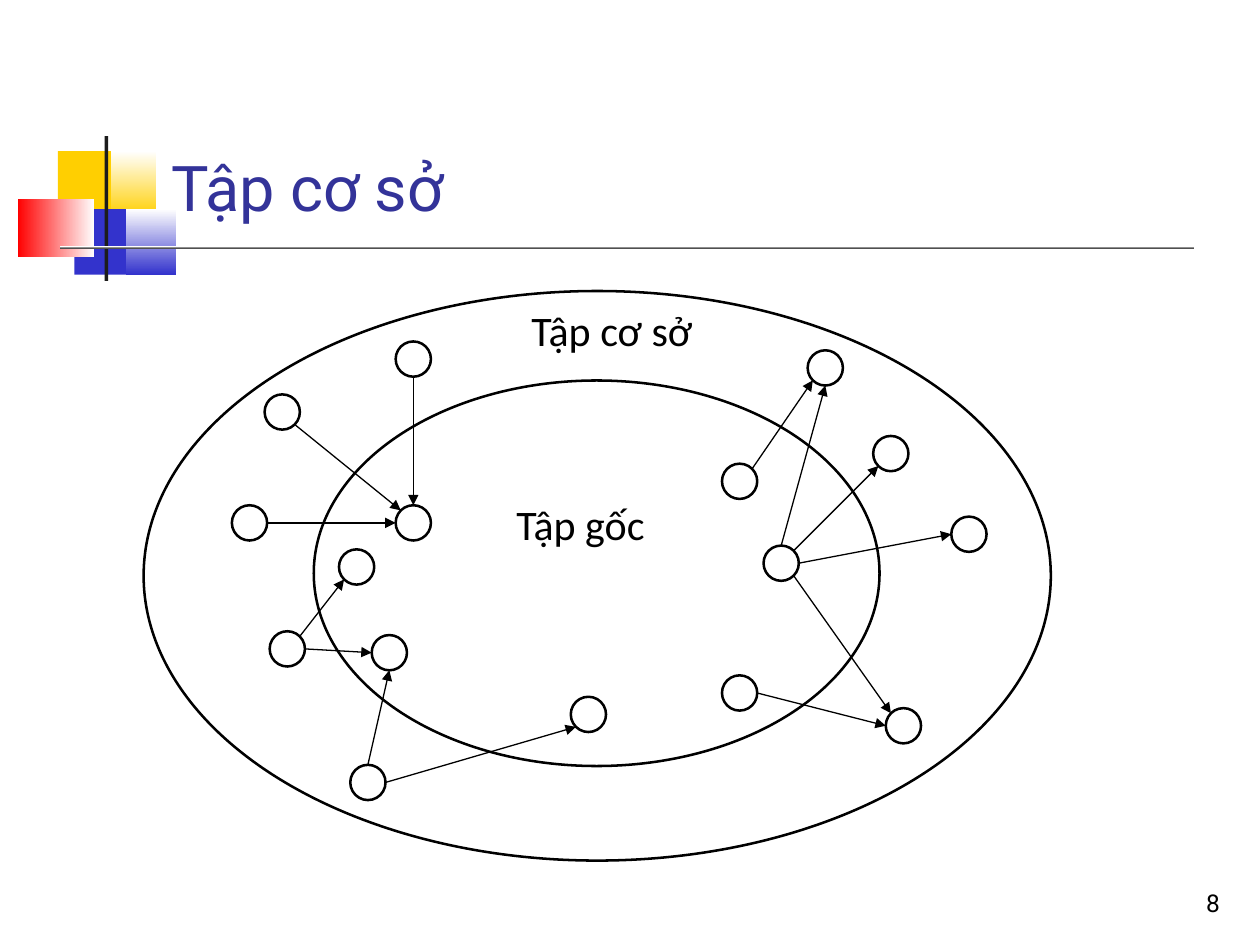
import pptx
import pptx.util
import pptx.dml.color
import pptx.enum.shapes
import pptx.enum.text
import pptx.oxml
import pptx.oxml.ns

KIND = pptx.enum.shapes.MSO_SHAPE
ANCHOR = pptx.enum.text.MSO_ANCHOR
ALIGN = pptx.enum.text.PP_ALIGN

COLS, ROWS, CELL = 100, 75, 0.1
DOT = 2.8

THEME = {
    "gold": "FFCF01", "blue": "3333CC", "red": "FF0000", "white": "FFFFFF",
    "dark": "1C1C1C", "ink": "000000", "title": "333399",
    "head": 36, "label": 24, "page": 14,
    "ring": 1.45, "link": 0.75,
    "main": "Roboto", "body": "Calibri",
}

BLOCKS = [
    ((4.6, 12, 4.8, 5.2), "gold", None, 0),
    ((8.8, 12, 3.6, 5.2), "gold", "white", 90),
    ((5.9, 16.6, 4.6, 5.2), "blue", None, 0),
    ((10, 16.6, 4, 5.2), "blue", "white", 90),
    ((1.4, 15.8, 6.1, 4.6), "white", "red", 180),
    ((8.3, 10.8, 0.3, 11.5), "dark", None, 0),
    ((4.8, 19.5, 90, 0.3), "dark", "white", 90),
]

RINGS = [(24.9, 30.2, 44.9, 30.6), (11.4, 23.1, 72, 45.2)]

DOTS = {
    "a": (31.4, 27.1), "b": (21, 31.3), "c": (18.4, 40.1), "d": (31.4, 40.1),
    "e": (21.4, 50.1), "f": (26.9, 43.6), "g": (29.5, 50.4), "h": (27.8, 60.7),
    "i": (45.3, 55.3), "j": (57.3, 36.8), "k": (64.1, 27.8), "l": (69.3, 34.6),
    "m": (60.6, 43.3), "n": (75.5, 41), "o": (57.3, 53.6), "p": (70.3, 56.2),
}

LINKS = [
    ("b", "SE", "d", "NW"), ("c", "E", "d", "W"), ("a", "S", "d", "N"),
    ("e", "NE", "f", "SW"), ("e", "E", "g", "W"), ("h", "N", "g", "S"),
    ("h", "E", "i", "SW"), ("j", "NE", "k", "SW"), ("m", "N", "k", "S"),
    ("m", "NE", "l", "SW"), ("m", "E", "n", "W"), ("m", "SE", "p", "NW"),
    ("o", "E", "p", "W"),
]

TEXTS = [
    ("8", (77, 68.3, 20.8, 5), "page", "main", "ink", ANCHOR.BOTTOM, ALIGN.RIGHT),
    ("Tập cơ sở", (12.6, 2.3, 85.2, 16), "head", "main", "title", ANCHOR.BOTTOM, ALIGN.LEFT),
    ("Tập gốc", (40, 39.1, 13.1, 5), "label", "body", "ink", ANCHOR.TOP, ALIGN.LEFT),
    ("Tập cơ sở", (41.2, 23.7, 15, 5), "label", "body", "ink", ANCHOR.TOP, ALIGN.LEFT),
]


def grid(*cells):
    return [pptx.util.Inches(cell * CELL) for cell in cells]


def tint(name):
    return pptx.dml.color.RGBColor.from_string(THEME[name])


def style(item, **vals):
    for key, val in vals.items():
        setattr(item, key, val)


def block(slide, box, first, last, angle):
    shape = slide.shapes.add_shape(KIND.RECTANGLE, *grid(*box))
    shape.shadow.inherit = False
    shape.line.fill.background()
    if last is None:
        shape.fill.solid()
        shape.fill.fore_color.rgb = tint(first)
        return
    shape.fill.gradient()
    shape.fill.gradient_angle = angle
    for stop, name in zip(shape.fill.gradient_stops, (first, last)):
        stop.color.rgb = tint(name)


def ring(slide, box):
    shape = slide.shapes.add_shape(KIND.OVAL, *grid(*box))
    shape.shadow.inherit = False
    shape.fill.background()
    shape.line.color.rgb = tint("ink")
    shape.line.width = pptx.util.Pt(THEME["ring"])


def site(name, side):
    left, top = DOTS[name]
    reach = DOT / 2 / len(side) ** 0.5
    across = ("E" in side) - ("W" in side)
    down = ("S" in side) - ("N" in side)
    return left + DOT / 2 + reach * across, top + DOT / 2 + reach * down


def link(slide, start, out, end, into):
    ends = grid(*site(start, out), *site(end, into))
    line = slide.shapes.add_connector(pptx.enum.shapes.MSO_CONNECTOR.STRAIGHT, *ends)
    line.line.color.rgb = tint("ink")
    line.line.width = pptx.util.Pt(THEME["link"])
    tail = pptx.oxml.parse_xml(
        f'<a:tailEnd {pptx.oxml.ns.nsdecls("a")} type="triangle"/>')
    line.line._get_or_add_ln().append(tail)
    props = line._element.spPr
    props.append(pptx.oxml.parse_xml(f'<a:effectLst {pptx.oxml.ns.nsdecls("a")}/>'))


def text(slide, words, box, size, font, color, anchor, align):
    frame = slide.shapes.add_textbox(*grid(*box)).text_frame
    style(frame, word_wrap=True, vertical_anchor=anchor, text=words)
    para = frame.paragraphs[0]
    para.alignment = align
    style(para.font, name=THEME[font], size=pptx.util.Pt(THEME[size]))
    para.font.color.rgb = tint(color)


def main():
    deck = pptx.Presentation()
    wide, high = grid(COLS, ROWS)
    style(deck, slide_width=wide, slide_height=high)
    slide = deck.slides.add_slide(deck.slide_layouts[6])
    for item in BLOCKS:
        block(slide, *item)
    for box in RINGS + [(*spot, DOT, DOT) for spot in DOTS.values()]:
        ring(slide, box)
    for item in LINKS:
        link(slide, *item)
    for item in TEXTS:
        text(slide, *item)
    deck.save("out.pptx")


if __name__ == "__main__":
    main()
